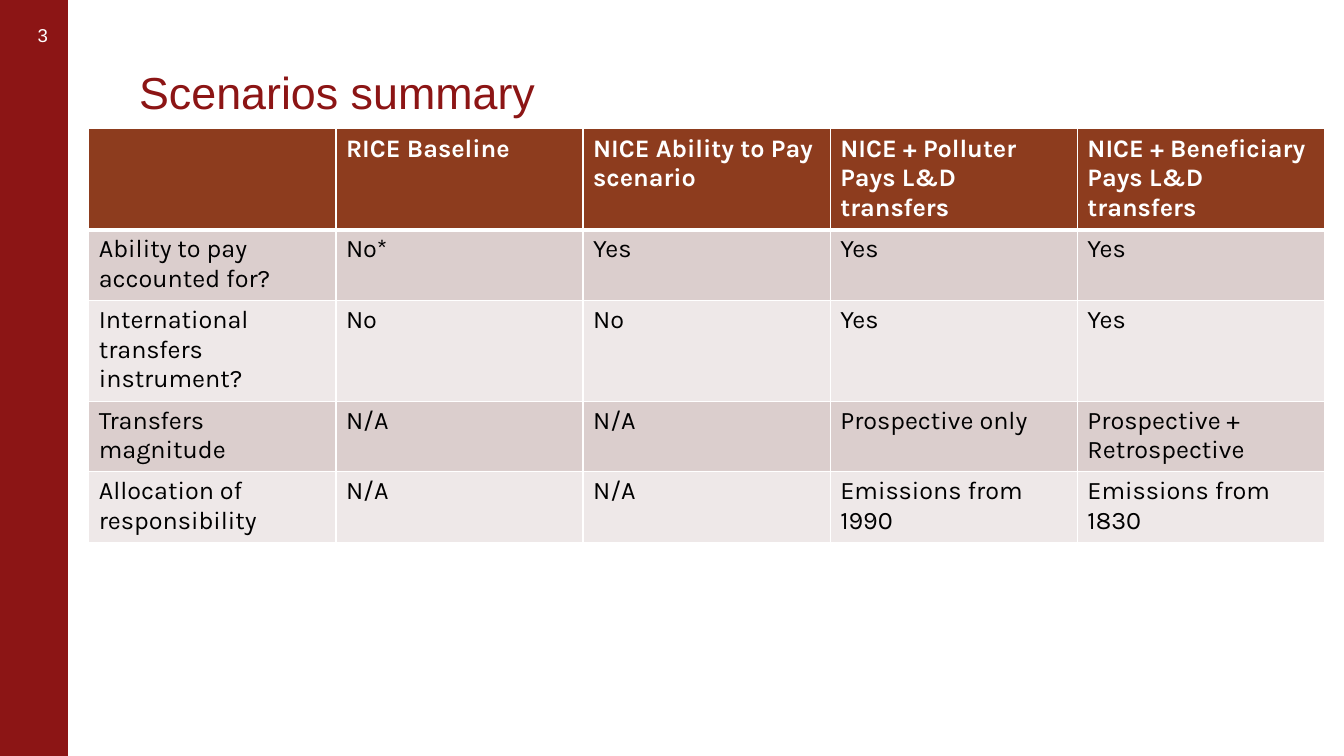
from lxml.etree import SubElement
from pptx import Presentation
from pptx.dml.color import RGBColor
from pptx.enum.shapes import MSO_SHAPE
from pptx.enum.text import MSO_ANCHOR, PP_ALIGN
from pptx.oxml.ns import qn
from pptx.util import Pt

TITLE = "Scenarios summary"
SLIDE_NUMBER = "3"
SCENARIOS = [
    ("", "RICE Baseline", "NICE Ability to Pay scenario",
     "NICE + Polluter Pays L&D transfers", "NICE + Beneficiary Pays L&D transfers"),
    ("Ability to pay accounted for?", "No*", "Yes", "Yes", "Yes"),
    ("International transfers instrument?", "No", "No", "Yes", "Yes"),
    ("Transfers magnitude", "N/A", "N/A", "Prospective only", "Prospective + Retrospective"),
    ("Allocation of responsibility", "N/A", "N/A", "Emissions from 1990", "Emissions from 1830"),
]

THEME = {
    "cardinal": "8C1515", "header": "8D3C1E", "bands": ("EEE8E8", "DBCECD"),
    "white": "FFFFFF", "black": "000000",
    "heading_font": "Arial", "table_font": "Karla",
    "title_size": 32, "number_size": 13.3, "table_size": 18,
    "grid": 1, "header_rule": 3,
}
SLIDE_WIDTH, SLIDE_HEIGHT = 960, 540
SIDEBAR = (0, 0, 48.5, 540.5)
NUMBER_BOX = (6.5, 0.7, 48.2, 48.2)
TITLE_BOX = (99.4, 37.4, 809.3, 51.1)
TABLE_LEFT, TABLE_TOP, COLUMN_WIDTH = 63.4, 92, 176.55
ROW_HEIGHTS = (70.5, 49.3, 70.5, 49.3, 49.3)


def points(lengths):
    return [Pt(length) for length in lengths]


def apply_format(target, values):
    for attribute, value in values.items():
        setattr(target, attribute, value)


def write(frame, text, font, size, color, bold=False, **paragraph_format):
    paragraph = frame.paragraphs[0]
    apply_format(paragraph, paragraph_format)
    run = paragraph.add_run()
    run.text = text
    apply_format(run.font, {"name": font, "size": Pt(size), "bold": bold})
    run.font.color.rgb = RGBColor.from_string(color)


def add_label(slide, box, text, size, color, frame_format, **paragraph_format):
    frame = slide.shapes.add_textbox(*points(box)).text_frame
    apply_format(frame, frame_format)
    write(frame, text, THEME["heading_font"], size, color, **paragraph_format)


def add_borders(cell, widths):
    properties = cell._tc.get_or_add_tcPr()
    for side, width in widths.items():
        border = SubElement(properties, qn(f"a:ln{side}"), w=str(Pt(width)))
        fill = SubElement(border, qn("a:solidFill"))
        SubElement(fill, qn("a:srgbClr"), val=THEME["white"])


def add_sidebar(slide):
    sidebar = slide.shapes.add_shape(MSO_SHAPE.RECTANGLE, *points(SIDEBAR))
    sidebar.shadow.inherit = False
    cardinal = RGBColor.from_string(THEME["cardinal"])
    sidebar.fill.solid()
    sidebar.fill.fore_color.rgb = cardinal
    sidebar.line.color.rgb = cardinal
    sidebar.line.width = Pt(0.75)


def add_scenario_table(slide):
    row_count, column_count = len(SCENARIOS), len(SCENARIOS[0])
    size = (column_count * COLUMN_WIDTH, sum(ROW_HEIGHTS))
    table = slide.shapes.add_table(
        row_count, column_count, *points((TABLE_LEFT, TABLE_TOP, *size))).table
    for column in table.columns:
        column.width = Pt(COLUMN_WIDTH)
    for r, answers in enumerate(SCENARIOS):
        table.rows[r].height = Pt(ROW_HEIGHTS[r])
        is_header = r == 0
        fill = THEME["header"] if is_header else THEME["bands"][r % 2]
        ink = THEME["white"] if is_header else THEME["black"]
        widths = dict.fromkeys("LRTB", THEME["grid"])
        if r < 2:
            widths["B" if is_header else "T"] = THEME["header_rule"]
        for c, answer in enumerate(answers):
            cell = table.cell(r, c)
            add_borders(cell, widths)
            cell.fill.solid()
            cell.fill.fore_color.rgb = RGBColor.from_string(fill)
            write(cell.text_frame, answer, THEME["table_font"],
                  THEME["table_size"], ink, bold=is_header)


def main():
    deck = Presentation()
    deck.slide_width, deck.slide_height = points((SLIDE_WIDTH, SLIDE_HEIGHT))
    slide = deck.slides.add_slide(deck.slide_layouts[6])
    add_sidebar(slide)
    add_label(slide, NUMBER_BOX, SLIDE_NUMBER, THEME["number_size"], THEME["white"],
              {"word_wrap": False, "vertical_anchor": MSO_ANCHOR.MIDDLE,
               "margin_left": Pt(5), "margin_right": Pt(5),
               "margin_top": 0, "margin_bottom": 0},
              alignment=PP_ALIGN.CENTER)
    add_label(slide, TITLE_BOX, TITLE, THEME["title_size"], THEME["cardinal"],
              {"word_wrap": True, "vertical_anchor": MSO_ANCHOR.BOTTOM, "margin_left": 0},
              line_spacing=0.85)
    add_scenario_table(slide)
    deck.save("out.pptx")


if __name__ == "__main__":
    main()
